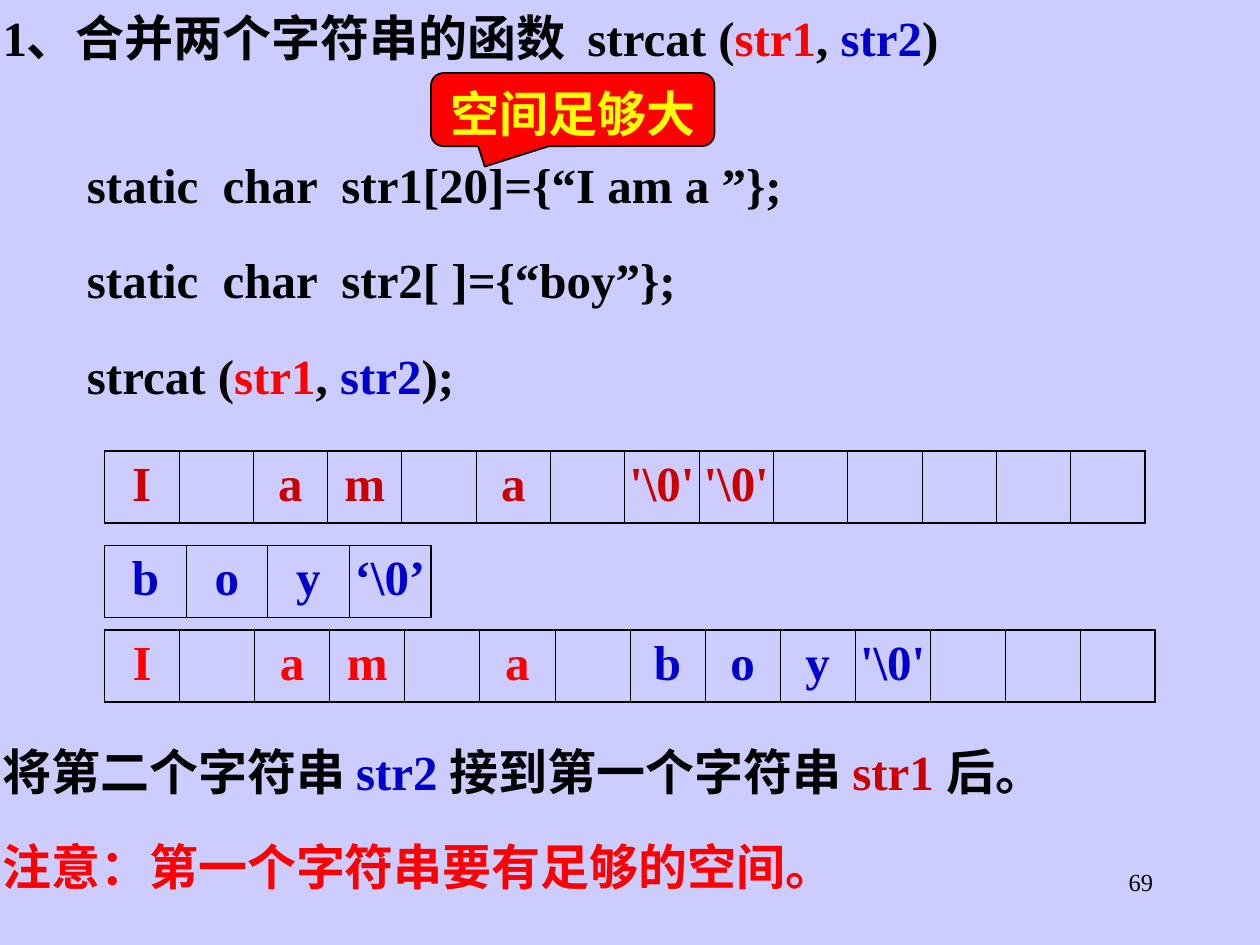
"""Build a slide that explains how strcat joins two strings."""
from dataclasses import dataclass

from lxml import etree
from pptx import Presentation
from pptx import util as u
from pptx.dml.color import RGBColor
from pptx.enum import shapes, text
from pptx.oxml import ns
from pptx.slide import Slide

BACKGROUND = RGBColor(0xCC, 0xCC, 0xFF)
BLACK = RGBColor(0, 0, 0)
RED = RGBColor(0xFF, 0, 0)
DARK_RED = RGBColor(0xCC, 0, 0)
BLUE = RGBColor(0, 0, 0xCC)
YELLOW = RGBColor(0xFF, 0xFF, 0)

THICK, THIN = u.Pt(1.08), u.Pt(0.45)
CENTER = text.PP_ALIGN.CENTER


@dataclass
class SlideBuilder:
    slide: Slide
    font_name: str = "Times New Roman"
    font_size: float = 28
    line_spacing: float = 1.1
    space_before: float = 17.5

    def style(self, paragraph, runs, align=text.PP_ALIGN.LEFT, size=None, bold=True):
        paragraph.alignment = align
        paragraph.font.name = self.font_name
        paragraph.font.size = u.Pt(size or self.font_size)
        paragraph.font.bold = bold
        for words, color in runs:
            run = paragraph.add_run()
            run.text = words
            run.font.color.rgb = color

    def fill_frame(self, frame, paragraphs, align=text.PP_ALIGN.LEFT):
        frame.word_wrap = True
        frame.vertical_anchor = text.MSO_ANCHOR.TOP
        frame.margin_left = frame.margin_right = u.Inches(0.02)
        frame.margin_top = frame.margin_bottom = u.Inches(0.01)
        for index, runs in enumerate(paragraphs):
            paragraph = frame.add_paragraph() if index else frame.paragraphs[0]
            paragraph.line_spacing = self.line_spacing
            paragraph.space_before = u.Pt(self.space_before if index else 0)
            self.style(paragraph, runs, align)

    def title(self, left, top, width, height, runs):
        title = self.slide.shapes.title
        title.left, title.top = u.Inches(left), u.Inches(top)
        title.width, title.height = u.Inches(width), u.Inches(height)
        title.text_frame.auto_size = text.MSO_AUTO_SIZE.NONE
        self.fill_frame(title.text_frame, [runs])

    def text_box(self, left, top, width, height, *paragraphs):
        box = self.slide.shapes.add_textbox(
            u.Inches(left), u.Inches(top), u.Inches(width), u.Inches(height))
        self.fill_frame(box.text_frame, paragraphs)

    def slide_number(self, left, top, width, height, number):
        box = self.slide.shapes.add_textbox(
            u.Inches(left), u.Inches(top), u.Inches(width), u.Inches(height))
        box.text_frame.word_wrap = True
        self.style(box.text_frame.paragraphs[0], [(number, BLACK)],
                   text.PP_ALIGN.RIGHT, 14, False)

    def callout(self, left, top, width, height, adjustments, runs):
        shape = self.slide.shapes.add_shape(
            shapes.MSO_SHAPE.ROUNDED_RECTANGULAR_CALLOUT,
            u.Inches(left), u.Inches(top), u.Inches(width), u.Inches(height))
        for index, value in enumerate(adjustments):
            shape.adjustments[index] = value
        shape.shadow.inherit = False
        shape.fill.solid()
        shape.fill.fore_color.rgb = RED
        shape.line.color.rgb = BLACK
        shape.line.width = u.Pt(1)
        self.fill_frame(shape.text_frame, [runs], CENTER)

    def border(self, cell, side, width):
        properties = cell._tc.get_or_add_tcPr()
        line = etree.SubElement(properties, ns.qn(f"a:ln{side}"), w=str(width))
        fill = etree.SubElement(line, ns.qn("a:solidFill"))
        etree.SubElement(fill, ns.qn("a:srgbClr"), val=str(BLACK))

    def memory_row(self, left, top, width, height, values):
        """Draw a one-row table from (text, color) pairs."""
        table = self.slide.shapes.add_table(
            1, len(values), u.Inches(left), u.Inches(top),
            u.Inches(width), u.Inches(height)).table
        table.first_row = table.horz_banding = False
        last = len(values) - 1
        for index, (words, color) in enumerate(values):
            cell = table.cell(0, index)
            cell.margin_left = cell.margin_right = u.Inches(0.02)
            self.border(cell, "L", THIN if index else THICK)
            self.border(cell, "R", THIN if index < last else THICK)
            self.border(cell, "T", THICK)
            self.border(cell, "B", THICK)
            cell.fill.background()
            runs = [(words, color)] if words else []
            self.style(cell.text_frame.paragraphs[0], runs, CENTER)


def colored(values, color):
    return [(value, color) for value in values]


def main():
    presentation = Presentation()
    presentation.slide_width, presentation.slide_height = u.Inches(10), u.Inches(7.5)
    slide = presentation.slides.add_slide(presentation.slide_layouts[5])
    slide.background.fill.solid()
    slide.background.fill.fore_color.rgb = BACKGROUND
    builder = SlideBuilder(slide)

    arguments = [("str1", RED), (", ", BLACK), ("str2", BLUE)]
    builder.slide_number(7.17, 6.83, 2.08, 0.5, "69")
    builder.title(0, 0, 10, 0.54, [
        ("1、合并两个字符串的函数  strcat (", BLACK), *arguments, (")", BLACK)])
    builder.text_box(
        0.67, 1.17, 7.75, 2.05,
        [("static  char  str1[20]={“I am a ”};", BLACK)],
        [("static  char  str2[ ]={“boy”};", BLACK)],
        [("strcat (", BLACK), *arguments, (");", BLACK)])

    phrase = ["I", "", "a", "m", "", "a", ""]
    end = r"'\0'"
    builder.memory_row(0.83, 3.58, 8.26, 0.57,
                       colored(phrase + [end, end] + [""] * 5, DARK_RED))
    builder.memory_row(0.83, 4.33, 2.59, 0.57,
                       colored(["b", "o", "y", r"‘\0’"], BLUE))
    builder.memory_row(0.83, 5, 8.34, 0.57,
                       colored(phrase, RED)
                       + colored(["b", "o", "y", end] + [""] * 3, BLUE))

    builder.text_box(0, 5.83, 10, 0.54, [
        ("将第二个字符串 ", BLACK), ("str2 ", BLUE), ("接到第一个字符串 ", BLACK),
        ("str1 ", DARK_RED), ("后。", BLACK)])
    builder.text_box(0, 6.58, 10, 0.54, [("注意：第一个字符串要有足够的空间。", RED)])
    builder.callout(3.42, 0.58, 2.25, 0.58, (-0.31, 0.78, 0.17),
                    [("空间足够大", YELLOW)])
    presentation.save("out.pptx")


if __name__ == "__main__":
    main()
